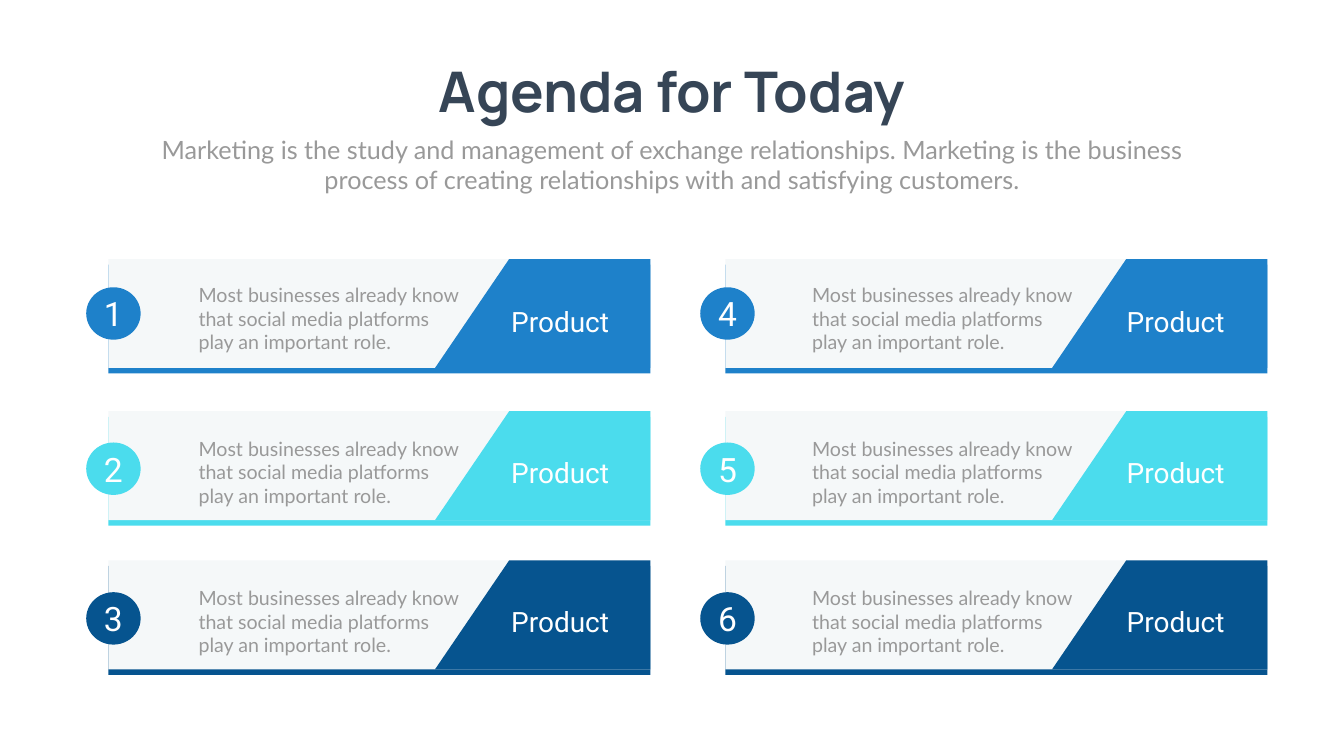
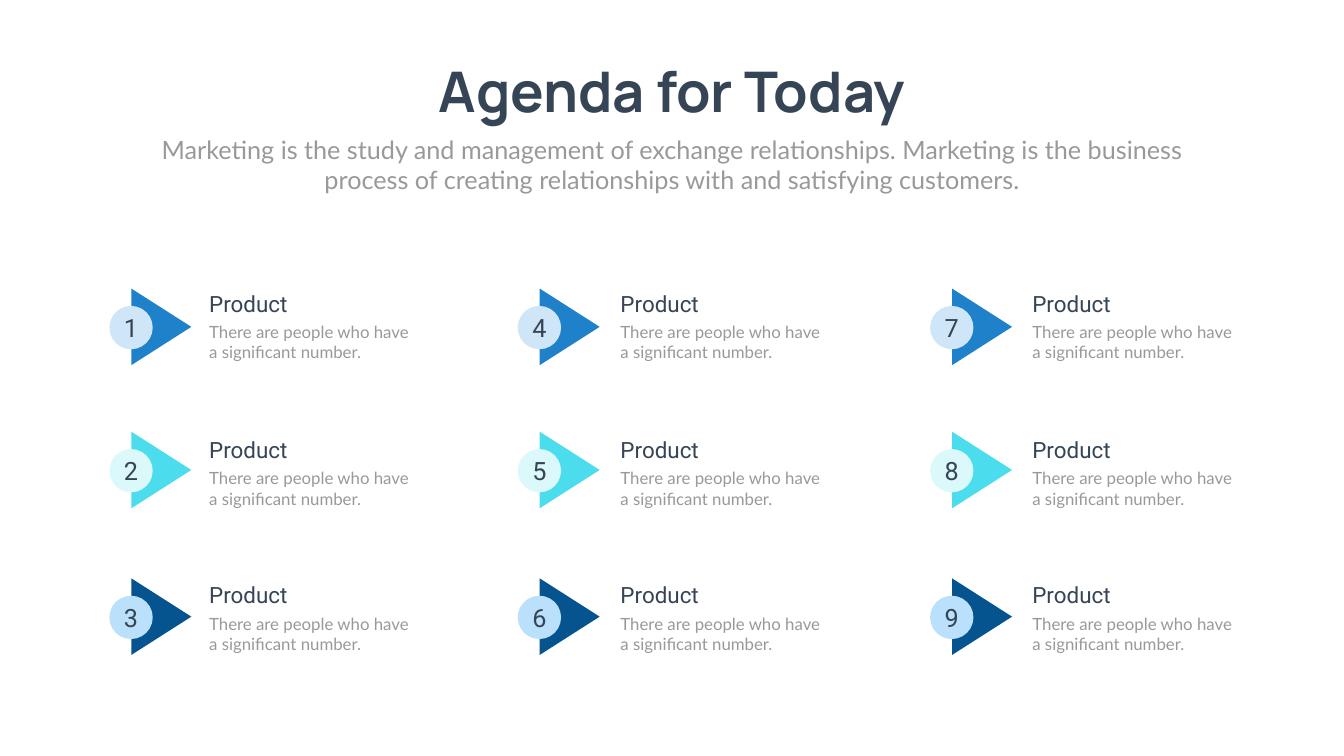
from pptx import Presentation
from pptx.dml.color import RGBColor
from pptx.enum.shapes import MSO_SHAPE
from pptx.enum.text import MSO_ANCHOR, MSO_AUTO_SIZE, PP_ALIGN
from pptx.oxml.ns import qn
from pptx.util import Pt

PX = 9144  # EMU per px, 100 px to the inch
DARK, GREY, WHITE, PALE = "364556", "999999", "FFFFFF", "F5F8F9"
ROW_COLORS = ["1E81CA", "4BDCED", "06548F"]
BADGE_TINTS = ["CFE6F8", "DBF8FB", "BAE0FC"]


def paint(shape, fill):
    shape.shadow.inherit = False
    shape.fill.solid()
    shape.fill.fore_color.rgb = RGBColor.from_string(fill)
    shape.line.fill.background()


def write(shape, text, size, font, color, align=PP_ALIGN.LEFT, bold=False, wrap=True,
          anchor=MSO_ANCHOR.TOP, fit=MSO_AUTO_SIZE.SHAPE_TO_FIT_TEXT):
    frame = shape.text_frame
    frame.text = text
    frame.word_wrap = wrap
    frame.vertical_anchor = anchor
    frame.auto_size = fit
    paragraph = frame.paragraphs[0]
    paragraph.alignment = align
    run_font = paragraph.runs[0].font
    run_font.size = Pt(size)
    run_font.name = font
    run_font.bold = bold
    run_font.color.rgb = RGBColor.from_string(color)


presentation = Presentation()
presentation.slide_width = 2666 * PX
presentation.slide_height = 1500 * PX

# Heading shared by both slides
slides = []
for _ in range(2):
    slide = presentation.slides.add_slide(presentation.slide_layouts[1])
    title, subtitle = slide.placeholders
    for shape, box in ((title, (812, 107, 1042, 145)), (subtitle, (292, 261, 2082, 131))):
        shape.left, shape.top, shape.width, shape.height = [length * PX for length in box]
    write(title, "Agenda for Today", 80, "Manrope", DARK, PP_ALIGN.CENTER, bold=True, wrap=False)
    write(subtitle, "Marketing is the study and management of exchange relationships. "
          "Marketing is the business process of creating relationships with and "
          "satisfying customers.", 36, "Lato", GREY, PP_ALIGN.CENTER)
    paragraph = subtitle.text_frame.paragraphs[0]
    paragraph.space_before = Pt(0)
    properties = paragraph._p.get_or_add_pPr()
    properties.set("marL", "0")
    properties.set("indent", "0")
    properties.append(properties.makeelement(qn("a:buNone"), {}))
    slides.append(slide)

# Slide 1: six numbered cards in two columns
shapes = slides[0].shapes
card_columns = [(215, 384, 932, 171), (1439, 1601, 2153, 1389)]
card_rows = [(514, 557, 600, 570), (816, 861, 899, 878), (1112, 1158, 1195, 1175)]
for column, (card_x, text_x, label_x, badge_x) in enumerate(card_columns):
    for row, (card_y, text_y, label_y, badge_y) in enumerate(card_rows):
        color = ROW_COLORS[row]

        # Coloured base showing below the pale card
        for offset, fill in ((11, color), (0, PALE)):
            card = shapes.add_shape(MSO_SHAPE.RECTANGLE, card_x * PX, (card_y + offset) * PX,
                                    1075 * PX, 216 * PX)
            paint(card, fill)

        # Slanted label panel
        right, bottom = card_x + 1075, card_y + 216
        builder = shapes.build_freeform(card_x + 795, card_y, scale=PX)
        builder.add_line_segments([(right, card_y), (right, bottom), (card_x + 648, bottom)])
        paint(builder.convert_to_shape(), color)

        # Texts
        label = shapes.add_textbox(label_x * PX, label_y * PX, 358 * PX, 66 * PX)
        write(label, "Product", 40, "Roboto", WHITE, PP_ALIGN.CENTER)
        description = shapes.add_textbox(text_x * PX, text_y * PX, 548 * PX, 129 * PX)
        write(description, "Most businesses already know that social media platforms "
              "play an important role.", 28, "Lato", GREY)

        # Number badge
        badge = shapes.add_shape(MSO_SHAPE.OVAL, badge_x * PX, badge_y * PX, 108 * PX, 104 * PX)
        paint(badge, color)
        write(badge, str(column * 3 + row + 1), 48, "Roboto", WHITE, PP_ALIGN.CENTER,
              wrap=False, anchor=MSO_ANCHOR.MIDDLE, fit=MSO_AUTO_SIZE.NONE)

# Slide 2: nine numbered arrows in three columns
shapes = slides[1].shapes
arrow_columns = [(405, 244), (1221, 1054), (2038, 1872)]
arrow_rows = [(570, 589), (860, 873), (1149, 1164)]
for column, (text_x, arrow_x) in enumerate(arrow_columns):
    for row, (text_y, arrow_y) in enumerate(arrow_rows):
        # Texts
        heading = shapes.add_textbox(text_x * PX, text_y * PX, 393 * PX, 64 * PX)
        write(heading, "Product", 32, "Roboto", DARK)
        description = shapes.add_textbox(text_x * PX, (text_y + 64) * PX, 437 * PX, 91 * PX)
        write(description, "There are people who have a significant number.", 24, "Lato", GREY)

        # Arrow with its number badge
        arrow = shapes.add_shape(MSO_SHAPE.ISOSCELES_TRIANGLE, arrow_x * PX, arrow_y * PX,
                                 152 * PX, 119 * PX)
        arrow.rotation = 90
        paint(arrow, ROW_COLORS[row])
        badge = shapes.add_shape(MSO_SHAPE.OVAL, (arrow_x - 27) * PX, (arrow_y + 18) * PX,
                                 86 * PX, 86 * PX)
        paint(badge, BADGE_TINTS[row])
        write(badge, str(column * 3 + row + 1), 36, "Roboto", DARK, PP_ALIGN.CENTER,
              anchor=MSO_ANCHOR.MIDDLE, fit=MSO_AUTO_SIZE.NONE)

presentation.save("out.pptx")
